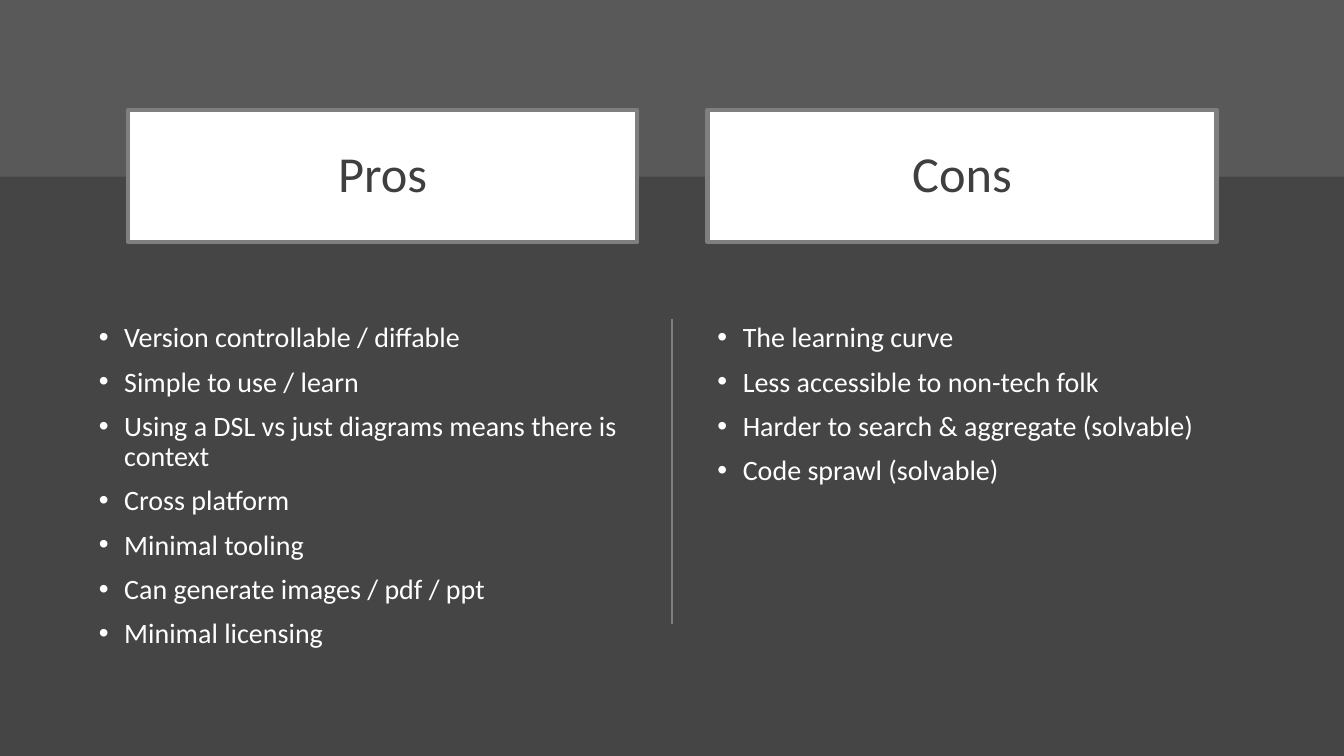
from dataclasses import dataclass

from lxml import etree
from pptx import Presentation
from pptx import util as u
from pptx.dml.color import RGBColor
from pptx.enum import shapes, text
from pptx.oxml import ns
from pptx.shapes.autoshape import Shape
from pptx.slide import Slide


@dataclass(frozen=True)
class Theme:
    font: str = "Calibri"
    heading_size: int = 36
    body_size: int = 20
    backdrop: str = "454545"
    band: str = "595959"
    card: str = "FFFFFF"
    rule: str = "7F7F7F"
    heading: str = "3F3F3F"
    body: str = "FFFFFF"


@dataclass(frozen=True)
class Column:
    heading: str
    points: tuple[str, ...]
    card_left: float
    list_left: float
    list_width: float
    list_height: float


THEME = Theme()
PAGE_WIDTH, PAGE_HEIGHT = 33.87, 19.05
BAND_HEIGHT = 4.45
CARD_TOP, CARD_WIDTH, CARD_HEIGHT = 2.77, 12.83, 3.33
LIST_TOP, DIVIDER_BOTTOM = 8.03, 15.72
BULLET_INDENT = 0.64

COLUMNS = (
    Column(
        "Pros",
        (
            "Version controllable / diffable",
            "Simple to use / learn",
            "Using a DSL vs just diagrams means there is context",
            "Cross platform",
            "Minimal tooling",
            "Can generate images / pdf / ppt",
            "Minimal licensing",
        ),
        3.23, 2.24, 13.82, 10.16,
    ),
    Column(
        "Cons",
        (
            "The learning curve",
            "Less accessible to non-tech folk",
            "Harder to search & aggregate (solvable)",
            "Code sprawl (solvable)",
        ),
        17.83, 17.83, CARD_WIDTH, 8.23,
    ),
)


def color(value: str) -> RGBColor:
    return RGBColor.from_string(value)


def add_span(para, content: str, size: int, ink: str) -> None:
    span = para.add_run()
    span.text = content
    span.font.name = THEME.font
    span.font.size = u.Pt(size)
    span.font.color.rgb = color(ink)


def add_rectangle(page: Slide, left: float, top: float, width: float,
                  height: float, fill: str) -> Shape:
    box = page.shapes.add_shape(
        shapes.MSO_SHAPE.RECTANGLE, u.Cm(left), u.Cm(top), u.Cm(width), u.Cm(height)
    )
    box.shadow.inherit = False
    box.fill.solid()
    box.fill.fore_color.rgb = color(fill)
    box.line.fill.background()
    return box


def add_heading(page: Slide, column: Column) -> None:
    box = add_rectangle(page, column.card_left, CARD_TOP, CARD_WIDTH, CARD_HEIGHT, THEME.card)
    box.line.color.rgb = color(THEME.rule)
    box.line.width = u.Pt(3)
    box.text_frame.word_wrap = True
    box.text_frame.vertical_anchor = text.MSO_ANCHOR.MIDDLE
    para = box.text_frame.paragraphs[0]
    para.alignment = text.PP_ALIGN.CENTER
    para.line_spacing = 0.9
    add_span(para, column.heading, THEME.heading_size, THEME.heading)


def add_points(page: Slide, column: Column) -> None:
    box = page.shapes.add_textbox(
        u.Cm(column.list_left), u.Cm(LIST_TOP), u.Cm(column.list_width), u.Cm(column.list_height)
    )
    frame = box.text_frame
    frame.word_wrap = True
    for index, point in enumerate(column.points):
        para = frame.add_paragraph() if index else frame.paragraphs[0]
        para.line_spacing = 0.9
        para.space_before = u.Pt(10 if index else 0)
        properties = para._p.get_or_add_pPr()
        properties.set("marL", str(u.Cm(BULLET_INDENT)))
        properties.set("indent", str(-u.Cm(BULLET_INDENT)))
        etree.SubElement(properties, ns.qn("a:buFont")).set("typeface", "Arial")
        etree.SubElement(properties, ns.qn("a:buChar")).set("char", "•")
        add_span(para, point, THEME.body_size, THEME.body)


def add_divider(page: Slide) -> None:
    middle = u.Cm(PAGE_WIDTH / 2)
    divider = page.shapes.add_connector(
        shapes.MSO_CONNECTOR.STRAIGHT, middle, u.Cm(LIST_TOP), middle, u.Cm(DIVIDER_BOTTOM)
    )
    divider.line.color.rgb = color(THEME.rule)
    divider.line.width = u.Pt(1.5)
    etree.SubElement(divider._element.spPr, ns.qn("a:effectLst"))


def main() -> None:
    deck = Presentation()
    deck.slide_width = u.Cm(PAGE_WIDTH)
    deck.slide_height = u.Cm(PAGE_HEIGHT)
    page = deck.slides.add_slide(deck.slide_layouts[6])
    page.background.fill.solid()
    page.background.fill.fore_color.rgb = color(THEME.backdrop)
    add_rectangle(page, 0, 0, PAGE_WIDTH, BAND_HEIGHT, THEME.band)
    for column in COLUMNS:
        add_heading(page, column)
        add_points(page, column)
    add_divider(page)
    deck.save("out.pptx")


if __name__ == "__main__":
    main()
